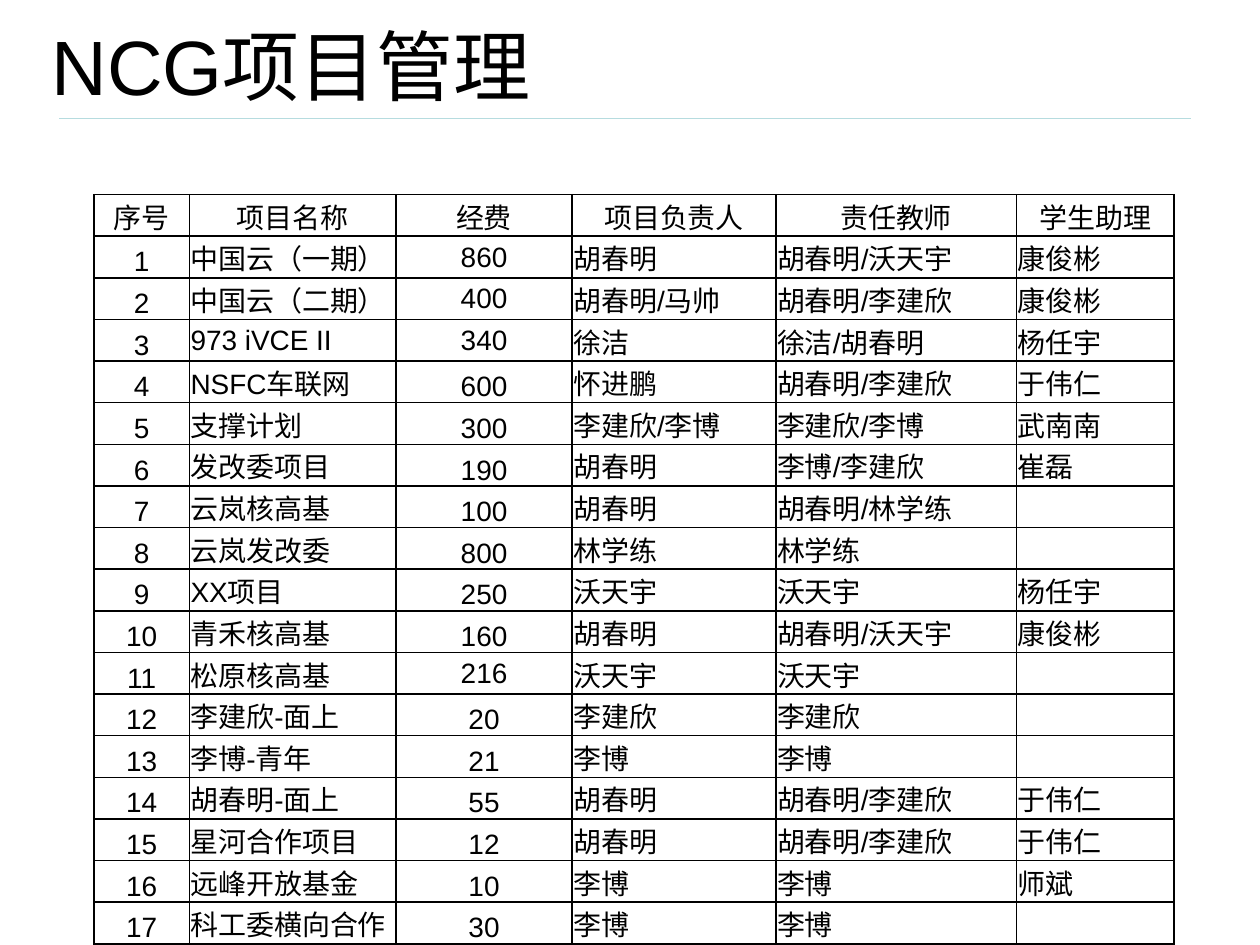
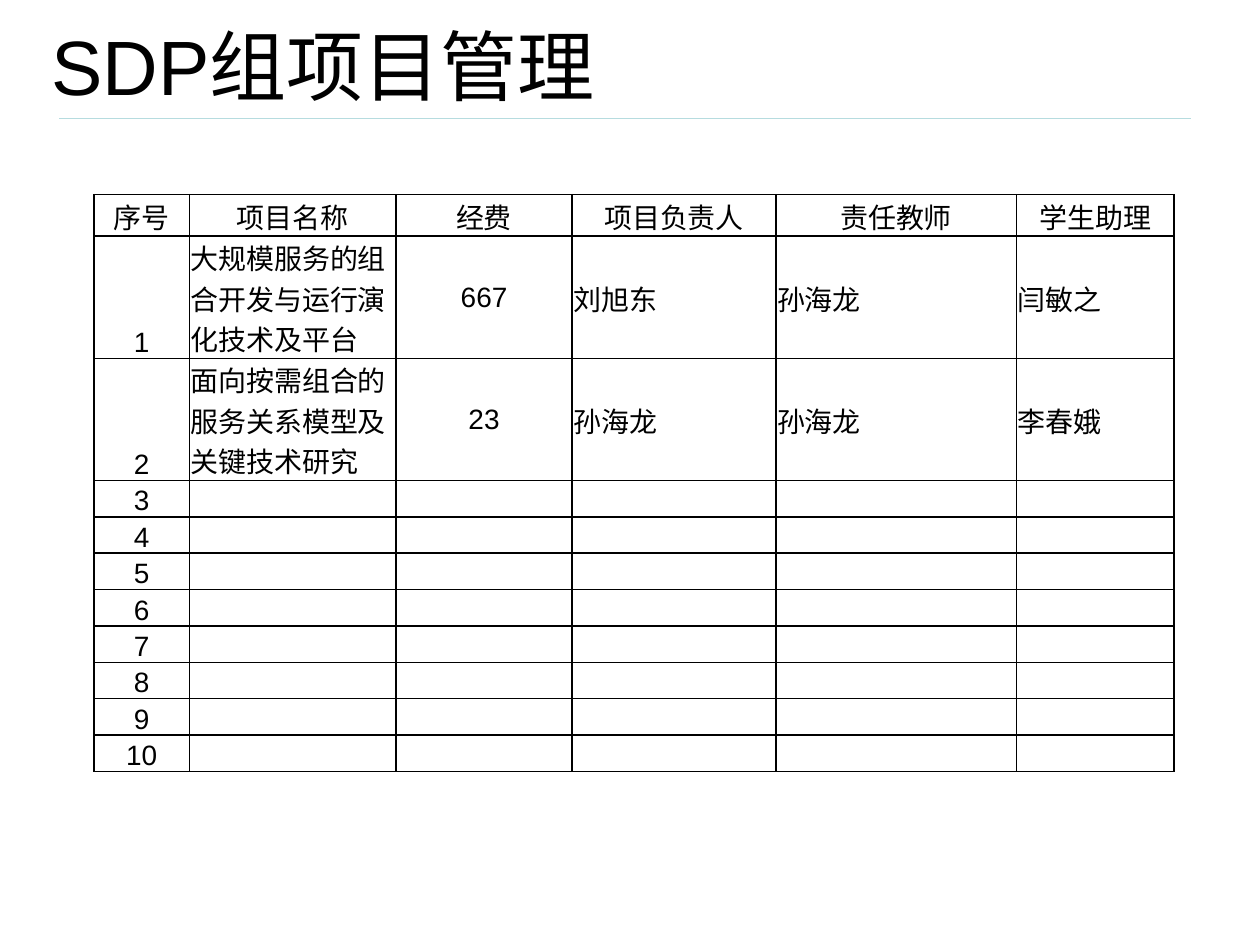
from lxml import etree
from pptx import Presentation
from pptx import util as u
from pptx.dml import color
from pptx.enum import lang, shapes, text
from pptx.oxml import ns

PX = 1270
FONT = "Arial"
INK = "000000"
RULE = "B6DCDF"
LEFT, TOP = 536, 1112
SHORT, ROW, TALL = 208, 238, 698
COLS = [546, 1180, 1008, 1164, 1374, 902]
HEADS = ["序号", "项目名称", "经费", "项目负责人", "责任教师", "学生助理"]

NCG = [
    ("中国云（一期）", "860", "胡春明", "胡春明/沃天宇", "康俊彬"),
    ("中国云（二期）", "400", "胡春明/马帅", "胡春明/李建欣", "康俊彬"),
    ("973 iVCE II", "340", "徐洁", "徐洁/胡春明", "杨任宇"),
    ("NSFC车联网", "600", "怀进鹏", "胡春明/李建欣", "于伟仁"),
    ("支撑计划", "300", "李建欣/李博", "李建欣/李博", "武南南"),
    ("发改委项目", "190", "胡春明", "李博/李建欣", "崔磊"),
    ("云岚核高基", "100", "胡春明", "胡春明/林学练", ""),
    ("云岚发改委", "800", "林学练", "林学练", ""),
    ("XX项目", "250", "沃天宇", "沃天宇", "杨任宇"),
    ("青禾核高基", "160", "胡春明", "胡春明/沃天宇", "康俊彬"),
    ("松原核高基", "216", "沃天宇", "沃天宇", ""),
    ("李建欣-面上", "20", "李建欣", "李建欣", ""),
    ("李博-青年", "21", "李博", "李博", ""),
    ("胡春明-面上", "55", "胡春明", "胡春明/李建欣", "于伟仁"),
    ("星河合作项目", "12", "胡春明", "胡春明/李建欣", "于伟仁"),
    ("远峰开放基金", "10", "李博", "李博", "师斌"),
    ("科工委横向合作", "30", "李博", "李博", ""),
]
NCG_MID = {1: 1, 2: 1, 3: 1, 11: 1, 12: 3}
NCG_HIGH = [ROW] * 18

SDP = [
    ("大规模服务的组合开发与运行演化技术及平台", "667", "刘旭东", "孙海龙", "闫敏之"),
    ("面向按需组合的服务关系模型及关键技术研究", "23", "孙海龙", "孙海龙", "李春娥"),
] + [("",) * 5] * 8
SDP_MID = {1: 1, 2: 1}
SDP_HIGH = [ROW] + [TALL] * 2 + [SHORT] * 8


def px(num):
    return u.Emu(num * PX)


def rgb(code):
    return color.RGBColor.from_string(code)


def add_run(para, words, size):
    run = para.add_run()
    run.text = words
    font = run.font
    font.name = FONT
    font.size = u.Pt(size)
    font.color.rgb = rgb(INK)
    font.language_id = lang.MSO_LANGUAGE_ID.SIMPLIFIED_CHINESE


def add_title(slide, words):
    box = slide.shapes.add_textbox(px(223), px(58), px(6580), px(626))
    frame = box.text_frame
    frame.word_wrap = True
    frame.vertical_anchor = text.MSO_ANCHOR.MIDDLE
    add_run(frame.paragraphs[0], words, 44)


def add_rule(slide):
    line = slide.shapes.add_connector(
        shapes.MSO_CONNECTOR.STRAIGHT, px(338), px(676), px(6804), px(676))
    line.line.color.rgb = rgb(RULE)
    line.line.width = u.Pt(0.75)
    etree.SubElement(line._element.spPr, ns.qn("a:effectLst"))


def add_edges(cell):
    props = cell._tc.get_or_add_tcPr()
    for spot, side in enumerate("LRTB"):
        edge = etree.Element(ns.qn(f"a:ln{side}"), w=str(u.Pt(1)))
        fill = etree.SubElement(edge, ns.qn("a:solidFill"))
        etree.SubElement(fill, ns.qn("a:srgbClr"), val=INK)
        props.insert(spot, edge)


def fill_cell(cell, words, mid, centre):
    cell.margin_left = cell.margin_right = cell.margin_top = px(7)
    cell.margin_bottom = 0
    anchor = text.MSO_ANCHOR
    cell.vertical_anchor = anchor.MIDDLE if mid else anchor.BOTTOM
    cell.fill.background()
    add_edges(cell)
    para = cell.text_frame.paragraphs[0]
    align = text.PP_ALIGN
    para.alignment = align.CENTER if centre else align.LEFT
    if words:
        add_run(para, words, 16)
    else:
        etree.SubElement(para._p, ns.qn("a:endParaRPr"), sz="1600")


def add_grid(slide, data, mids, highs):
    rows = [HEADS] + [(str(n), *line) for n, line in enumerate(data, 1)]
    grid = slide.shapes.add_table(
        len(rows), len(COLS), px(LEFT), px(TOP),
        px(sum(COLS)), px(sum(highs))).table
    grid.first_row = grid.horz_banding = False
    for col, wide in zip(grid.columns, COLS):
        col.width = px(wide)
    for r, (row, high) in enumerate(zip(rows, highs)):
        grid.rows[r].height = px(high)
        start = mids.get(r, len(COLS))
        for c, words in enumerate(row):
            fill_cell(grid.cell(r, c), words, c >= start, r == 0 or c in (0, 2))


def add_page(deck, title, data, mids, highs):
    slide = deck.slides.add_slide(deck.slide_layouts[6])
    add_rule(slide)
    add_title(slide, title)
    add_grid(slide, data, mids, highs)


def main():
    deck = Presentation()
    deck.slide_width, deck.slide_height = px(7200), px(5400)
    add_page(deck, "NCG项目管理", NCG, NCG_MID, NCG_HIGH)
    add_page(deck, "SDP组项目管理", SDP, SDP_MID, SDP_HIGH)
    deck.save("out.pptx")


if __name__ == "__main__":
    main()
